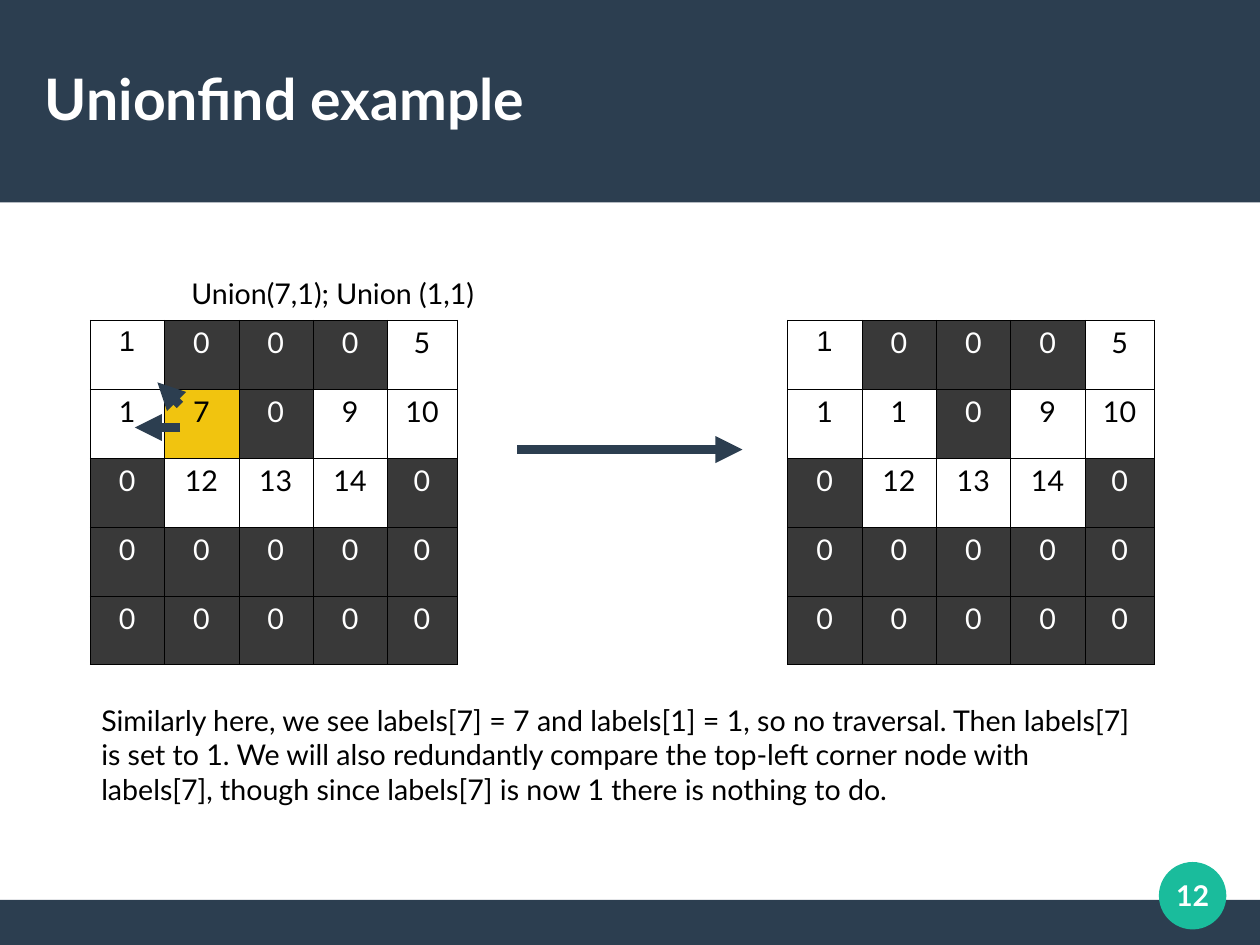
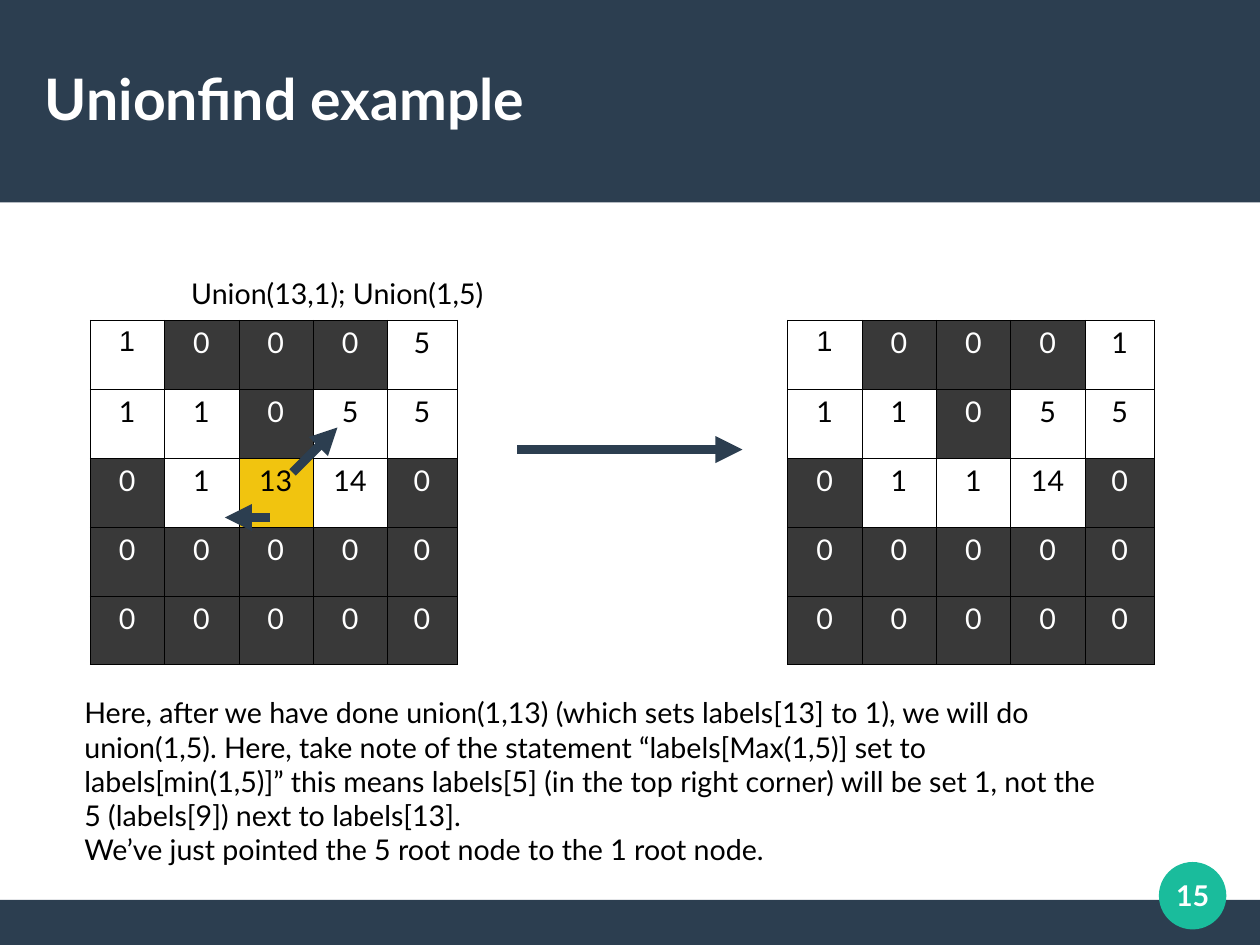
import pptx
import pptx.util
import pptx.dml.color
import pptx.enum.shapes
import pptx.enum.text
import pptx.oxml

Pt = pptx.util.Pt
MSO_SHAPE = pptx.enum.shapes.MSO_SHAPE
PP_ALIGN = pptx.enum.text.PP_ALIGN
MIDDLE = pptx.enum.text.MSO_ANCHOR.MIDDLE
NAMESPACE = 'xmlns:a="http://schemas.openxmlformats.org/drawingml/2006/main"'

NAVY, TEAL, YELLOW = "2C3E50", "1ABC9C", "F1C40F"
WHITE, BLACK, GREY = "FFFFFF", "000000", "393939"
WIDTH, HEIGHT = 793.7, 595.3
HEADER_HEIGHT, FOOTER_HEIGHT = 127.6, 28.4
GRID_TOP, ROW_HEIGHT = 201.6, 43.4
COLUMN_WIDTHS = [46.8] * 4 + [43.9]
LEFT_GRID, RIGHT_GRID = 56.7, 496.1
EMPTY_ROW = [0] * 5


def color(hex_string):
    return pptx.dml.color.RGBColor.from_string(hex_string)


def style_text(frame, size, hex_string, bold=False, align=PP_ALIGN.LEFT, font="Lato"):
    for para in frame.paragraphs:
        para.alignment = align
        for span in para.runs:
            span.font.name = font
            span.font.size = Pt(size)
            span.font.bold = bold
            span.font.color.rgb = color(hex_string)


pages = [
    {
        "number": "12",
        "caption": ("Union(7,1); Union (1,1)", 203),
        "before": [[1, 0, 0, 0, 5], [1, 7, 0, 9, 10], [0, 12, 13, 14, 0]],
        "after": [[1, 0, 0, 0, 5], [1, 1, 0, 9, 10], [0, 12, 13, 14, 0]],
        "current": (1, 1),
        "arrows": [(113.4, 269.3, 85, 269.3), (113.4, 255.1, 99.2, 240.9)],
        "explanation": (56.7, 439.4, 666, 113),
        "text": "Similarly here, we see labels[7] = 7 and labels[1] = 1, so no traversal. "
                "Then labels[7] is set to 1. We will also redundantly compare the top-left "
                "corner node with labels[7], though since labels[7] is now 1 there is "
                "nothing to do.",
    },
    {
        "number": "15",
        "caption": ("Union(13,1); Union(1,5)", 208),
        "before": [[1, 0, 0, 0, 5], [1, 1, 0, 5, 5], [0, 1, 13, 14, 0]],
        "after": [[1, 0, 0, 0, 1], [1, 1, 0, 5, 5], [0, 1, 1, 14, 0]],
        "current": (2, 2),
        "arrows": [(170.1, 326, 141.7, 326), (184.3, 297.6, 212.6, 269.3)],
        "explanation": (46.1, 434.4, 662.4, 129.6),
        "text": "Here, after we have done union(1,13) (which sets labels[13] to 1), we will "
                "do union(1,5). Here, take note of the statement “labels[Max(1,5)] set to "
                "labels[min(1,5)]” this means labels[5] (in the top right corner) will be "
                "set 1, not the 5 (labels[9]) next to labels[13].\n"
                "We’ve just pointed the 5 root node to the 1 root node.",
    },
]

deck = pptx.Presentation()
deck.slide_width, deck.slide_height = Pt(WIDTH), Pt(HEIGHT)

for content in pages:
    page = deck.slides.add_slide(deck.slide_layouts[6])

    for kind, left, top, width, height, fill in [
        (MSO_SHAPE.RECTANGLE, 0, HEIGHT - FOOTER_HEIGHT, WIDTH, FOOTER_HEIGHT, NAVY),
        (MSO_SHAPE.RECTANGLE, 0, 0, WIDTH, HEADER_HEIGHT, NAVY),
        (MSO_SHAPE.OVAL, 730, 543, 42.5, 42.5, TEAL),
    ]:
        shape = page.shapes.add_shape(kind, Pt(left), Pt(top), Pt(width), Pt(height))
        shape.shadow.inherit = False
        shape.fill.solid()
        shape.fill.fore_color.rgb = color(fill)
        shape.line.fill.background()

    for text, left, top, width, height, size, align in [
        ("Unionfind example", 28.3, 23.7, 737, 75.6, 36, PP_ALIGN.LEFT),
        (content["number"], 722.8, 535.7, 56.9, 56.9, 18, PP_ALIGN.CENTER),
    ]:
        frame = page.shapes.add_textbox(Pt(left), Pt(top), Pt(width), Pt(height)).text_frame
        frame.margin_left = frame.margin_right = frame.margin_top = frame.margin_bottom = 0
        frame.word_wrap = True
        frame.vertical_anchor = MIDDLE
        frame.text = text
        style_text(frame, size, WHITE, True, align)

    caption, caption_width = content["caption"]
    for text, place, wrap in [
        (caption, (113.4, 170.1, caption_width, 31.7), False),
        (content["text"], content["explanation"], True),
    ]:
        frame = page.shapes.add_textbox(*[Pt(value) for value in place]).text_frame
        frame.word_wrap = wrap
        frame.auto_size = pptx.enum.text.MSO_AUTO_SIZE.SHAPE_TO_FIT_TEXT
        frame.paragraphs[0].text = text
        style_text(frame, 18, BLACK)

    for left, labels, current in [
        (RIGHT_GRID, content["after"], None),
        (LEFT_GRID, content["before"], content["current"]),
    ]:
        grid = page.shapes.add_table(
            5, 5, Pt(left), Pt(GRID_TOP), Pt(sum(COLUMN_WIDTHS)), Pt(5 * ROW_HEIGHT)
        ).table
        grid.first_row = grid.horz_banding = False
        for column, width in zip(grid.columns, COLUMN_WIDTHS):
            column.width = Pt(width)
        for row_index, values in enumerate(labels + [EMPTY_ROW] * 2):
            grid.rows[row_index].height = Pt(ROW_HEIGHT)
            for column_index, value in enumerate(values):
                position = (row_index, column_index)
                cell = grid.cell(*position)
                properties = cell._tc.get_or_add_tcPr()
                for side in ("lnL", "lnR", "lnT", "lnB"):
                    properties.append(pptx.oxml.parse_xml(
                        f'<a:{side} {NAMESPACE} w="762"><a:solidFill>'
                        f'<a:srgbClr val="{BLACK}"/></a:solidFill></a:{side}>'
                    ))
                cell.fill.solid()
                background = YELLOW if position == current else WHITE if value else GREY
                cell.fill.fore_color.rgb = color(background)
                cell.text_frame.text = str(value)
                style_text(cell.text_frame, 18, BLACK if value else WHITE,
                           align=PP_ALIGN.CENTER,
                           font="Arial" if position == (0, 0) else "Lato")

    for ends in [(326, 283.2, 467.7, 283.2)] + content["arrows"]:
        arrow = page.shapes.add_connector(
            pptx.enum.shapes.MSO_CONNECTOR.STRAIGHT, *[Pt(value) for value in ends]
        )
        arrow.line.color.rgb = color(NAVY)
        arrow.line.width = Pt(5.67)
        arrow.line._get_or_add_ln().append(
            pptx.oxml.parse_xml(f'<a:tailEnd {NAMESPACE} type="triangle"/>')
        )
        arrow._element.spPr.append(pptx.oxml.parse_xml(f'<a:effectLst {NAMESPACE}/>'))

deck.save("out.pptx")
